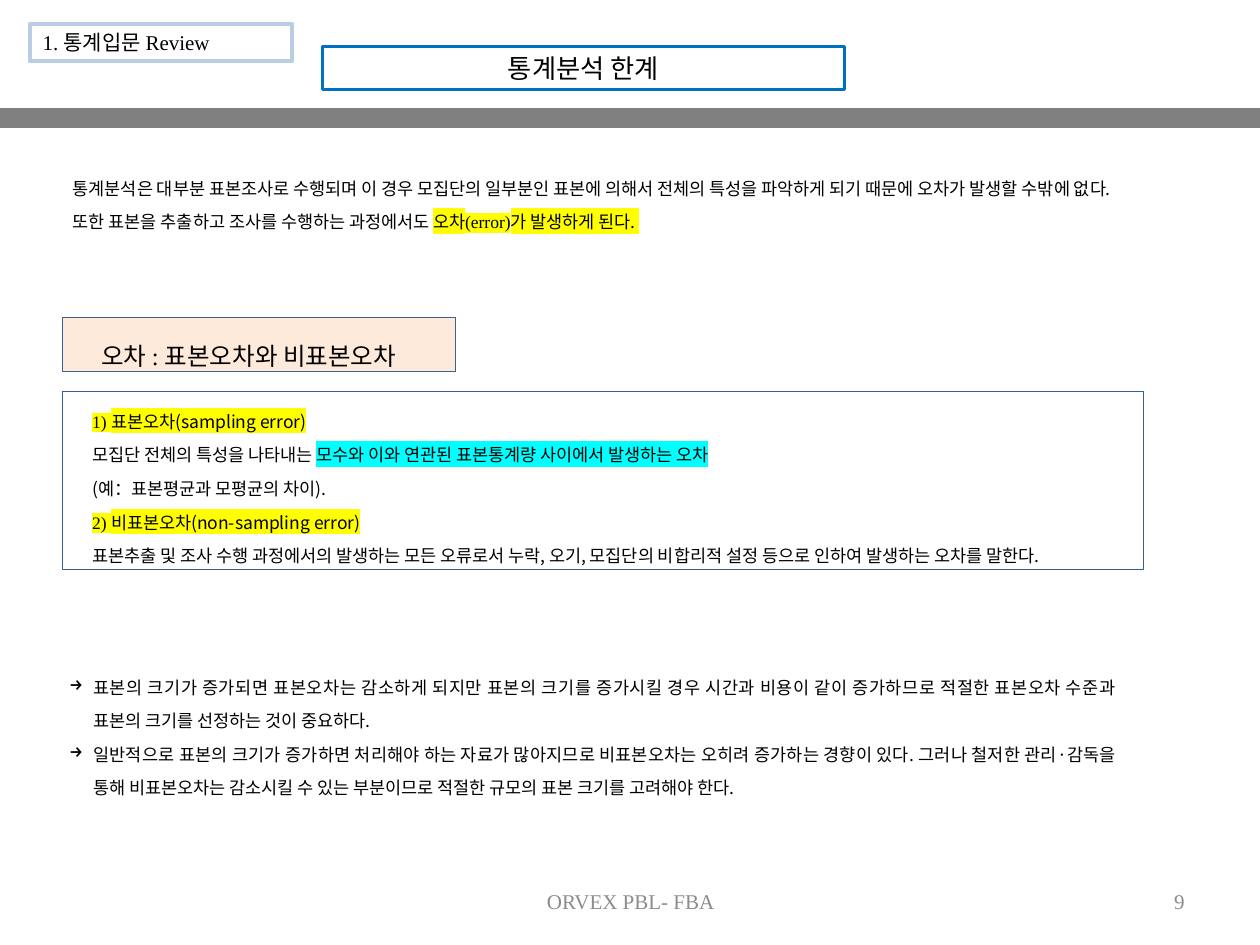
from lxml.etree import SubElement
from pptx import Presentation
from pptx.dml.color import RGBColor
from pptx.enum.shapes import MSO_SHAPE
from pptx.enum.text import MSO_ANCHOR, MSO_AUTO_SIZE, PP_ALIGN
from pptx.oxml import parse_xml
from pptx.oxml.ns import nsdecls, qn
from pptx.util import Cm, Pt

BLACK = RGBColor(0x00, 0x00, 0x00)
GRAY = RGBColor(0x80, 0x80, 0x80)
FOOTER_GRAY = RGBColor(0x8C, 0x8C, 0x8C)
BLUE = RGBColor(0x00, 0x70, 0xC0)
NAVY = RGBColor(0x37, 0x60, 0x92)
PALE_BLUE = RGBColor(0xB9, 0xCD, 0xE5)
PEACH = RGBColor(0xFD, 0xEA, 0xDA)
YELLOW = RGBColor(0xFF, 0xFF, 0x00)
CYAN = RGBColor(0x00, 0xFF, 0xFF)
SERIF, SANS = "Times New Roman", "Noto Sans CJK KR"

TITLE = "통계분석 한계"
TAG = "1. 통계입문 Review"
HEADING = "오차 : 표본오차와 비표본오차 "
FOOTER, PAGE = "ORVEX PBL- FBA", "9"
STOP = (". ", SANS)
COMMA = (", ", SANS)

INTRO = [
    [("통계분석은 대부분 표본조사로 수행되며 이 경우 모집단의 일부분인 표본에 의해서 "
      "전체의 특성을 파악하게 되기 때문에 오차가 발생할 수밖에 없다",), STOP],
    [("또한 표본을 추출하고 조사를 수행하는 과정에서도 ",),
     ("오차(error)가 발생하게 된다", SERIF, YELLOW), (". ", SANS, YELLOW)],
]
ERRORS = [
    [("1) 표본오차", SERIF, YELLOW), ("(sampling error)", SANS, YELLOW)],
    [("모집단 전체의 특성을 나타내는 ",),
     ("모수와 이와 연관된 표본통계량 사이에서 발생하는 오차", SERIF, CYAN)],
    [("(", SANS), ("예：표본평균과 모평균의 차이",), (").", SANS)],
    [("2) 비표본오차", SERIF, YELLOW), ("(non-sampling error)", SANS, YELLOW)],
    [("표본추출 및 조사 수행 과정에서의 발생하는 모든 오류로서 누락",), COMMA,
     ("오기",), COMMA,
     ("모집단의 비합리적 설정 등으로 인하여 발생하는 오차",), ("를 말한다.", SANS)],
]
NOTES = [
    [("표본의 크기가 증가되면 표본오차는 감소하게 되지만 표본의 크기를 증가시킬 경우 "
      "시간과 비용이 같이 증가하므로 적절한 표본오차 수준과 표본의 크기를 선정하는 것이 "
      "중요하다",), STOP],
    [("일반적으로 표본의 크기가 증가하면 처리해야 하는 자료가 많아지므로 비표본오차는 "
      "오히려 증가하는 경향이 있다",), STOP, ("그러나 철저한 관리",), ("·", SANS),
     ("감독을 통해 비표본오차는 감소시킬 수 있는 부분이므로 적절한 규모의 표본 크기를 "
      "고려해야 한다",), STOP],
]


def add_run(p, text, font=SERIF, highlight=None, size=10, color=BLACK):
    r = p.add_run()
    r.text = text
    r.font.size = Pt(size)
    r.font.color.rgb = color
    r.font.name = font
    rPr = r.font._element
    ea = parse_xml(f'<a:ea {nsdecls("a")} typeface="{SANS}"/>')
    rPr.find(qn("a:latin")).addnext(ea)
    if highlight is not None:
        mark = parse_xml(f'<a:highlight {nsdecls("a")}><a:srgbClr val="{highlight}"/></a:highlight>')
        rPr.find(qn("a:solidFill")).addnext(mark)


def write(sp, text, size=10, color=BLACK, align=PP_ALIGN.JUSTIFY, anchor=MSO_ANCHOR.TOP,
          left=0, first=0, spacing=None, bullet=None):
    tf = sp.text_frame
    tf.word_wrap = True
    tf.auto_size = MSO_AUTO_SIZE.NONE
    tf.vertical_anchor = anchor
    paragraphs = [[(text,)]] if isinstance(text, str) else text
    for i, runs in enumerate(paragraphs):
        p = tf.add_paragraph() if i else tf.paragraphs[0]
        p.alignment = align
        pPr = p._p.get_or_add_pPr()
        pPr.set("marL", str(Cm(left)))
        pPr.set("indent", str(Cm(first)))
        if spacing:
            p.line_spacing = spacing
        if bullet:
            SubElement(pPr, qn("a:buChar"), char=bullet)
        for run in runs:
            add_run(p, *run, size=size, color=color)


def paint(sp, fill=None, line=None, width=0.75):
    if fill is None:
        sp.fill.background()
    else:
        sp.fill.solid()
        sp.fill.fore_color.rgb = fill
    if line is None:
        sp.line.fill.background()
    else:
        sp.line.color.rgb = line
        sp.line.width = Pt(width)


def add_box(s, place, **look):
    sp = s.shapes.add_shape(MSO_SHAPE.RECTANGLE, *map(Cm, place))
    sp.shadow.inherit = False
    paint(sp, **look)
    return sp


def add_text(s, place, text, **fmt):
    write(s.shapes.add_textbox(*map(Cm, place)), text, **fmt)


def main():
    prs = Presentation()
    prs.slide_width, prs.slide_height = Cm(25.4), Cm(19.05)
    s = prs.slides.add_slide(prs.slide_layouts[5])

    title = s.shapes.title
    title.left, title.top, title.width, title.height = map(Cm, (6.5, 0.94, 10.52, 0.86))
    paint(title, line=BLUE, width=1.5)
    tf = title.text_frame
    tf.margin_left = tf.margin_right = Cm(0.18)
    tf.margin_top = tf.margin_bottom = Cm(0.1)
    write(title, TITLE, size=15, align=PP_ALIGN.CENTER, anchor=MSO_ANCHOR.MIDDLE)

    add_box(s, (0, 2.18, 25.4, 0.4), fill=GRAY)
    footer = dict(size=12, color=FOOTER_GRAY, anchor=MSO_ANCHOR.MIDDLE)
    add_text(s, (8.69, 17.65, 8.05, 1.02), FOOTER, align=PP_ALIGN.CENTER, **footer)
    add_text(s, (18.21, 17.65, 5.92, 1.02), PAGE, align=PP_ALIGN.RIGHT, **footer)

    add_text(s, (0.69, 3.2, 22.4, 2.21), INTRO, left=0.53, spacing=1.6)
    write(add_box(s, (1.26, 7.9, 21.8, 3.58), line=NAVY), ERRORS,
          left=0.71, first=-0.36, spacing=1.6)
    write(add_box(s, (1.26, 6.4, 7.92, 1.09), fill=PEACH, line=NAVY), HEADING,
          size=14, left=0.53, spacing=1.6)
    add_text(s, (0.79, 13.26, 21.95, 2.9), NOTES,
             left=0.84, first=-0.48, spacing=1.6, bullet="→")
    write(add_box(s, (0.61, 0.48, 5.28, 0.76), line=PALE_BLUE, width=2.25), TAG,
          size=12, align=PP_ALIGN.LEFT)
    prs.save("out.pptx")


if __name__ == "__main__":
    main()
